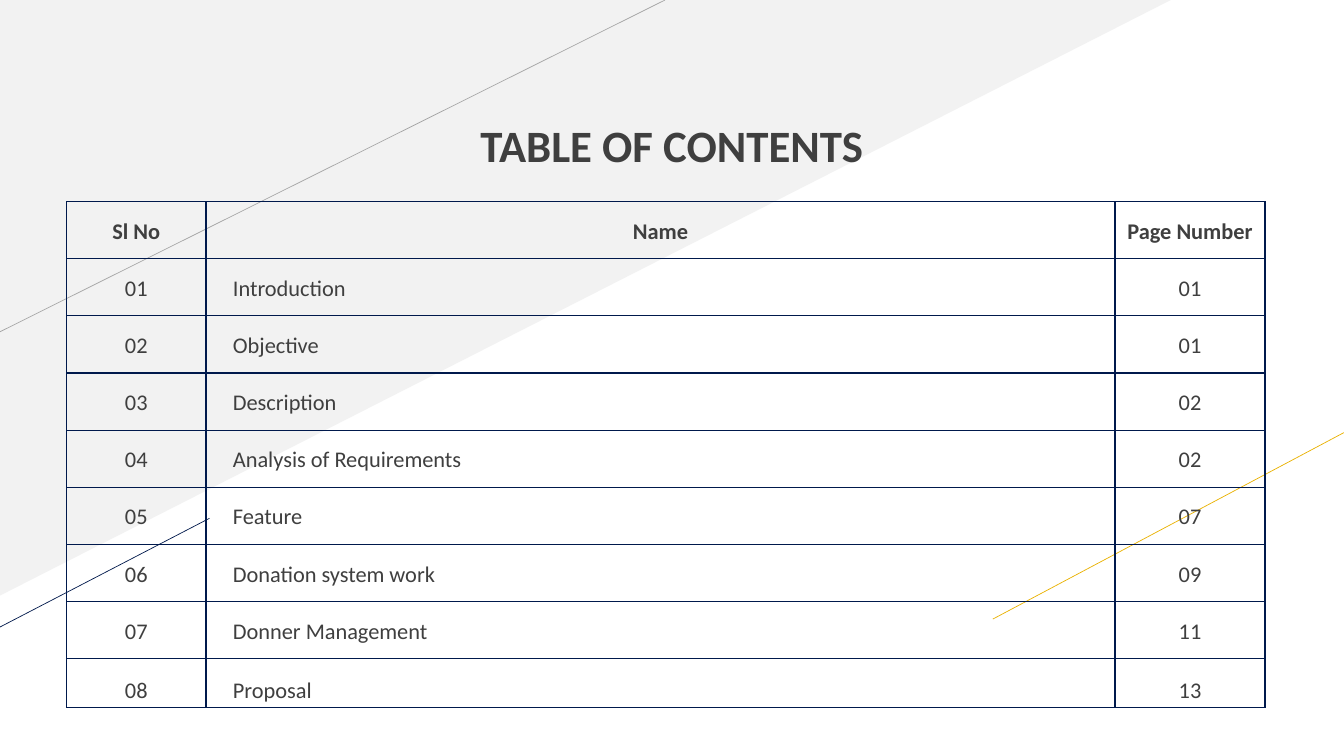
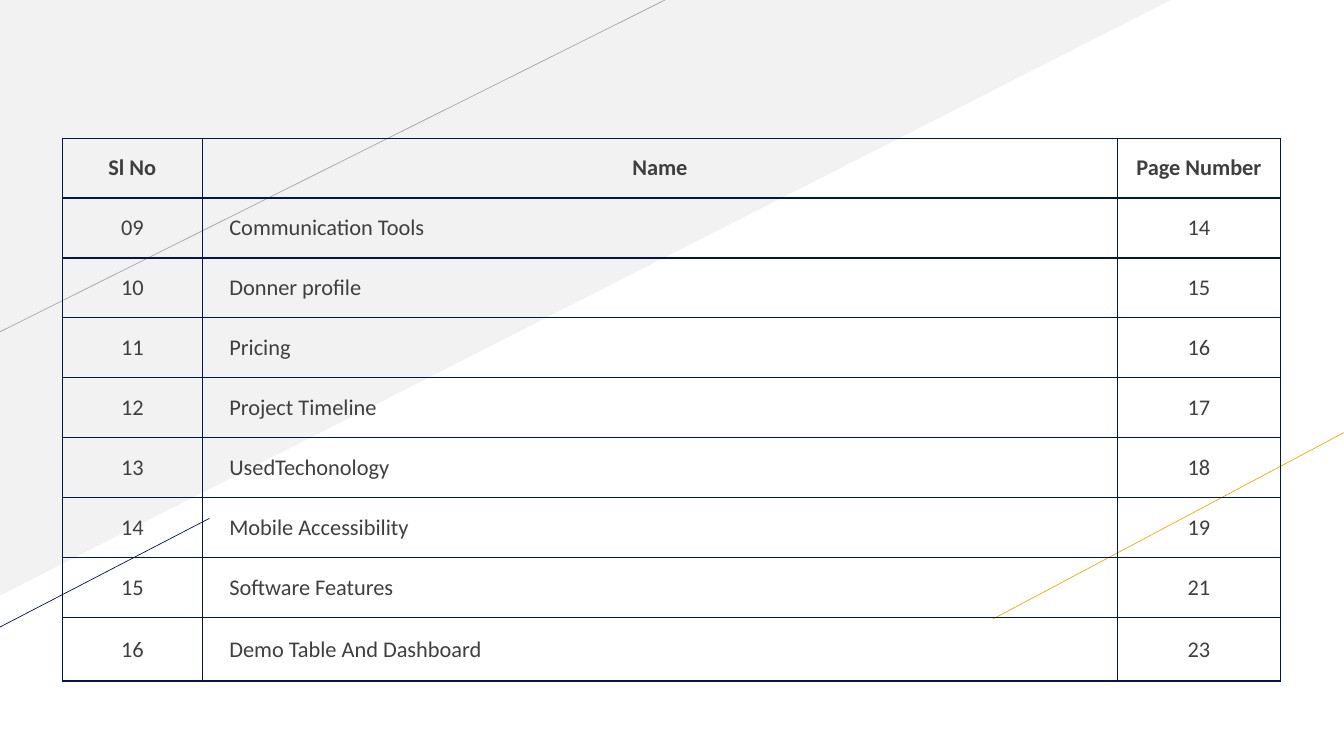
"""Build a two-slide table of contents on a shared master background."""
from lxml.etree import SubElement
from pptx import Presentation
from pptx.dml.color import RGBColor
from pptx.enum.shapes import MSO_CONNECTOR, MSO_SHAPE
from pptx.enum.text import MSO_ANCHOR, MSO_AUTO_SIZE, PP_ALIGN
from pptx.oxml import parse_xml
from pptx.oxml.ns import nsdecls, qn
from pptx.util import Cm, Pt

COLORS = {
    "text": "3F3F3F",
    "panel": "F2F2F2",
    "grey": "A6A6A6",
    "gold": "EAB200",
    "navy": "00194C",
}
FONT = "Calibri"
HEADER = ("Sl No", "Name", "Page Number")
BACKGROUND_LINES = [
    ("grey", 0, 8.36, 16.76, 0),
    ("gold", 25.02, 15.6, 33.87, 10.9),
    ("navy", 0, 15.8, 5.28, 13.06),
]
TABLES = [
    {
        "title": "TABLE OF CONTENTS",
        "left": 1.68, "top": 5.08, "cols": (3.51, 22.91, 3.78),
        "row": 1.44, "last_row": 1.22, "first_no": 1,
        "entries": [
            ("Introduction", "01"),
            ("Objective", "01"),
            ("Description", "02"),
            ("Analysis of Requirements", "02"),
            ("Feature", "07"),
            ("Donation system work", "09"),
            ("Donner Management", "11"),
            ("Proposal", "13"),
        ],
    },
    {
        "title": None,
        "left": 1.57, "top": 3.48, "cols": (3.53, 23.06, 4.11),
        "row": 1.51, "last_row": 1.6, "first_no": 9,
        "entries": [
            ("Communication Tools", "14"),
            ("Donner profile", "15"),
            ("Pricing", "16"),
            ("Project Timeline", "17"),
            ("UsedTechonology", "18"),
            ("Mobile Accessibility", "19"),
            ("Software Features", "21"),
            ("Demo Table And Dashboard", "23"),
        ],
    },
]


def add_run(p, text, size, bold):
    """Add one run in the deck's text style."""
    r = p.add_run()
    r.text = text
    r.font.name = FONT
    r.font.size = Pt(size)
    r.font.bold = bold
    r.font.color.rgb = RGBColor.from_string(COLORS["text"])


def set_borders(cell):
    """Draw a thin navy line on all four sides of a cell."""
    tc_pr = cell._tc.get_or_add_tcPr()
    for i, side in enumerate(("lnL", "lnR", "lnT", "lnB")):
        tc_pr.insert(i, parse_xml(
            f'<a:{side} {nsdecls("a")} w="{Pt(1)}"><a:solidFill>'
            f'<a:srgbClr val="{COLORS["navy"]}"/></a:solidFill></a:{side}>'))


prs = Presentation()
prs.slide_width, prs.slide_height = Cm(33.87), Cm(19.05)
title_only, blank = prs.slide_layouts[5], prs.slide_layouts[6]
slides = [prs.slides.add_slide(title_only if t["title"] else blank) for t in TABLES]

shapes = slides[0].shapes
panel = shapes.add_shape(MSO_SHAPE.RIGHT_TRIANGLE, 0, 0, Cm(29.51), Cm(15.01))
panel.element.spPr.find(qn("a:xfrm")).set("flipV", "1")
panel.shadow.inherit = False
panel.fill.solid()
panel.fill.fore_color.rgb = RGBColor.from_string(COLORS["panel"])
panel.line.fill.background()
background = [panel]
for color, *ends in BACKGROUND_LINES:
    line = shapes.add_connector(MSO_CONNECTOR.STRAIGHT, *[Cm(v) for v in ends])
    line.line.color.rgb = RGBColor.from_string(COLORS[color])
    line.line.width = Pt(0.5)
    SubElement(line.element.spPr, qn("a:effectLst"))
    background.append(line)
for i, sp in enumerate(background):
    prs.slide_master.shapes.element.insert(2 + i, sp.element)

for s, t in zip(slides, TABLES):
    if t["title"]:
        title = s.shapes.title
        title.left, title.top = Cm(11.84), Cm(2.84)
        title.width, title.height = Cm(10.19), Cm(1.63)
        tf = title.text_frame
        tf.auto_size = MSO_AUTO_SIZE.NONE
        tf.word_wrap = False
        tf.vertical_anchor = MSO_ANCHOR.MIDDLE
        p = tf.paragraphs[0]
        p.alignment = PP_ALIGN.CENTER
        add_run(p, t["title"], 32, True)

    rows = [HEADER] + [(f"{no:02d}", name, page)
                       for no, (name, page) in enumerate(t["entries"], t["first_no"])]
    heights = [t["row"]] * (len(rows) - 1) + [t["last_row"]]
    frame = s.shapes.add_table(len(rows), len(HEADER), Cm(t["left"]), Cm(t["top"]),
                               Cm(sum(t["cols"])), Cm(sum(heights)))
    table = frame.table
    table.first_row = table.horz_banding = False
    for column, width in zip(table.columns, t["cols"]):
        column.width = Cm(width)
    for i, (values, height) in enumerate(zip(rows, heights)):
        table.rows[i].height = Cm(height)
        for j, value in enumerate(values):
            cell = table.cell(i, j)
            cell.fill.background()
            set_borders(cell)
            cell.margin_left = cell.margin_right = Cm(0.15)
            cell.margin_top = Cm(0.46 if i == len(rows) - 1 else 0.41)
            cell.margin_bottom = Cm(0.08)
            p = cell.text_frame.paragraphs[0]
            if i and j == 1:
                p.alignment = PP_ALIGN.LEFT
                p._p.get_or_add_pPr().set("marL", str(Cm(0.53)))
            else:
                p.alignment = PP_ALIGN.CENTER
            add_run(p, value, 16, i == 0)

prs.save("out.pptx")
